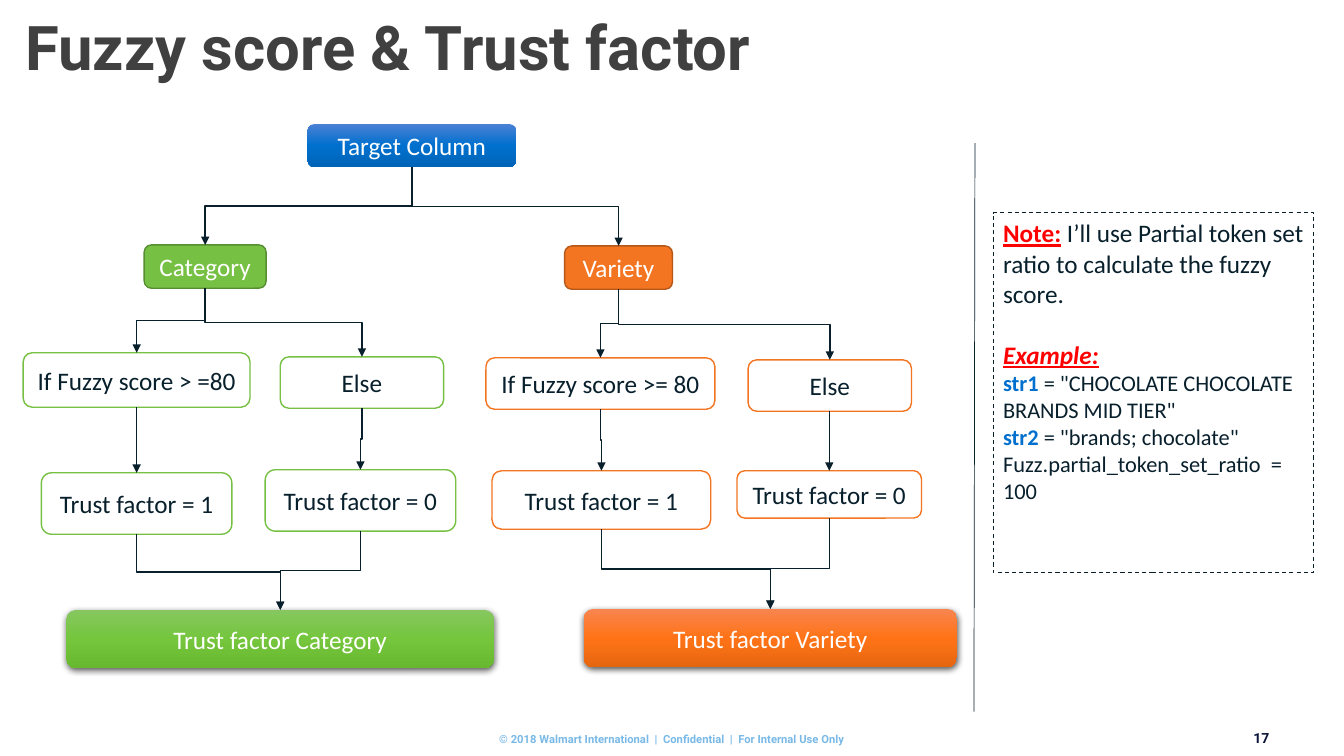
from copy import deepcopy

from lxml.etree import SubElement
from pptx import Presentation
from pptx.dml.color import RGBColor
from pptx.enum.dml import MSO_LINE
from pptx.enum.shapes import MSO_CONNECTOR as CONNECTOR, MSO_SHAPE as SHAPE
from pptx.enum.text import MSO_ANCHOR as ANCHOR, MSO_AUTO_SIZE as AUTO_SIZE, PP_ALIGN as ALIGN
from pptx.oxml.ns import qn
from pptx.util import Pt

PX = 9144
WHITE = RGBColor(0xFF, 0xFF, 0xFF)
INK = RGBColor(0x08, 0x1F, 0x2C)
NAVY = RGBColor(0x0B, 0x14, 0x38)
GREY = RGBColor(0x40, 0x40, 0x41)
SKY = RGBColor(0x78, 0xB9, 0xE7)
BLUE = RGBColor(0x00, 0x70, 0xCE)
RED = RGBColor(0xFF, 0x00, 0x00)
GREEN = RGBColor(0x76, 0xC0, 0x43)
DARK_GREEN = RGBColor(0x57, 0x8E, 0x32)
ORANGE = RGBColor(0xF4, 0x75, 0x21)
DARK_ORANGE = RGBColor(0xB5, 0x57, 0x18)
BLUE_FADE = [RGBColor(0x4B, 0x81, 0xD5), BLUE, RGBColor(0x00, 0x64, 0xB7)]
GREEN_FADE = [RGBColor(0x86, 0xC7, 0x60), RGBColor(0x75, 0xC6, 0x3D), RGBColor(0x67, 0xB7, 0x2F)]
ORANGE_FADE = [RGBColor(0xF8, 0x85, 0x50), RGBColor(0xFF, 0x73, 0x16), RGBColor(0xE5, 0x66, 0x11)]


def write(paragraph, text, size=18, color=INK, font="Calibri", bold=False,
          italic=False, underline=False, align=ALIGN.LEFT):
    paragraph.alignment = align
    run = paragraph.add_run()
    run.text = text
    run.font.name = font
    run.font.size = Pt(size)
    run.font.color.rgb = color
    run.font.bold = bold
    run.font.italic = italic
    run.font.underline = underline


def draw_line(kind, x1, y1, x2, y2, width):
    connector = slide.shapes.add_connector(kind, *[round(v * PX) for v in (x1, y1, x2, y2)])
    connector.line.color.rgb = INK
    connector.line.width = Pt(width)
    SubElement(connector._element.spPr, qn("a:effectLst"))
    return connector


presentation = Presentation()
presentation.slide_width = 1333 * PX
presentation.slide_height = 750 * PX
slide = presentation.slides.add_slide(presentation.slide_layouts[5])

title = slide.shapes.title
title.left, title.top, title.width, title.height = [v * PX for v in (15, 24, 1150, 53)]
title.text_frame.auto_size = AUTO_SIZE.NONE
title.text_frame.vertical_anchor = ANCHOR.MIDDLE
title.text_frame.paragraphs[0].line_spacing = 0.9
write(title.text_frame.paragraphs[0], "Fuzzy score & Trust factor",
      size=44, color=GREY, font="Roboto", bold=True)

footers = [
    ("17", 1229, 724, 30, 17, 10, NAVY, ALIGN.RIGHT),
    ("© 2018 Walmart International  |  Confidential  |  For Internal Use Only",
     455, 727, 423, 13, 8, SKY, ALIGN.CENTER),
]
for text, left, top, width, height, size, color, align in footers:
    frame = slide.shapes.add_textbox(left * PX, top * PX, width * PX, height * PX).text_frame
    frame.word_wrap = True
    frame.margin_left = frame.margin_right = frame.margin_top = frame.margin_bottom = 0
    write(frame.paragraphs[0], text, size=size, color=color, font="Roboto", bold=True, align=align)

nodes = {
    "target": ("Target Column", 305, 123, 207, 43, BLUE_FADE, None, WHITE),
    "category": ("Category", 143, 243, 121, 43, GREEN, DARK_GREEN, WHITE),
    "variety": ("Variety", 560, 244, 107, 43, ORANGE, DARK_ORANGE, WHITE),
    "category if": ("If Fuzzy score > =80", 23, 350, 225, 54, WHITE, GREEN, INK),
    "category else": ("Else", 278, 354, 162, 51, WHITE, GREEN, INK),
    "variety if": ("If Fuzzy score >= 80", 482, 355, 227, 51, WHITE, ORANGE, INK),
    "variety else": ("Else", 742, 357, 162, 51, WHITE, ORANGE, INK),
    "category 1": ("Trust factor = 1", 41, 469, 189, 61, WHITE, GREEN, INK),
    "category 0": ("Trust factor = 0", 263, 466, 189, 61, WHITE, GREEN, INK),
    "variety 1": ("Trust factor = 1", 488, 467, 217, 58, WHITE, ORANGE, INK),
    "variety 0": ("Trust factor = 0", 731, 467, 183, 47, WHITE, ORANGE, INK),
    "category trust": ("Trust factor Category", 66, 605, 424, 58, GREEN_FADE, None, WHITE),
    "variety trust": ("Trust factor Variety", 579, 604, 370, 58, ORANGE_FADE, None, WHITE),
}
for name, (text, left, top, width, height, fill, outline, color) in nodes.items():
    shape = slide.shapes.add_shape(SHAPE.ROUNDED_RECTANGLE, left * PX, top * PX,
                                   width * PX, height * PX)
    if outline is None:
        shape.fill.gradient()
        shape.fill.gradient_angle = 270
        stops = shape._element.spPr.find(".//" + qn("a:gsLst"))
        stops.insert(1, deepcopy(stops[0]))
        for stop, shade, position in zip(shape.fill.gradient_stops, fill, (0, 0.5, 1)):
            stop.color.rgb = shade
            stop.position = position
        shape.line.fill.background()
    else:
        shape.fill.solid()
        shape.fill.fore_color.rgb = fill
        shape.line.color.rgb = outline
        shape.line.width = Pt(1)
    shape.shadow.inherit = False
    if name.endswith("trust"):
        effects = shape._element.spPr.find(qn("a:effectLst"))
        shadow = SubElement(effects, qn("a:outerShdw"), blurRad="57150", dist="19050",
                            dir="5400000", algn="ctr", rotWithShape="0")
        black = SubElement(shadow, qn("a:srgbClr"), val="000000")
        SubElement(black, qn("a:alpha"), val="63000")
    frame = shape.text_frame
    frame.word_wrap = True
    frame.margin_left = frame.margin_right = 5 * PX
    frame.vertical_anchor = ANCHOR.MIDDLE
    write(frame.paragraphs[0], text, color=color, align=ALIGN.CENTER)

arrows = [("target", "category"), ("target", "variety")]
for branch in ("category", "variety"):
    for condition, score in (("if", "1"), ("else", "0")):
        arrows += [
            (branch, f"{branch} {condition}"),
            (f"{branch} {condition}", f"{branch} {score}"),
            (f"{branch} {score}", f"{branch} trust"),
        ]
for source, target in arrows:
    _, left, top, width, height = nodes[source][:5]
    start_x, start_y = left + width / 2, top + height
    _, left, end_y, width, _ = nodes[target][:5]
    end_x = left + width / 2
    drop, shift = end_y - start_y, abs(end_x - start_x)
    near = (start_x + end_x - drop) / 2
    far = near + drop
    upper = (start_y + end_y - shift) / 2
    rightward = end_x > start_x
    if rightward:
        near, far = far, near
    arrow = draw_line(CONNECTOR.ELBOW, near, upper, far, upper + shift, 1)
    properties = arrow._element.spPr
    properties.get_or_add_xfrm().set("rot", "16200000" if rightward else "5400000")
    SubElement(properties.get_or_add_ln(), qn("a:tailEnd"), type="triangle")
    if source == "variety 0":
        guides = properties.find(".//" + qn("a:avLst"))
        SubElement(guides, qn("a:gd"), name="adj1", fmla="val 55600")

draw_line(CONNECTOR.STRAIGHT, 967, 142, 966, 706, 0.5)

note = slide.shapes.add_shape(SHAPE.RECTANGLE, 985 * PX, 211 * PX, 318 * PX, 357 * PX)
note.shadow.inherit = False
note.fill.background()
note.line.color.rgb = INK
note.line.width = Pt(0.75)
note.line.dash_style = MSO_LINE.DASH
note.text_frame.word_wrap = True
note.text_frame.vertical_anchor = ANCHOR.TOP
heading = dict(color=RED, bold=True, underline=True)
variable = dict(size=16, color=BLUE, bold=True)
code = dict(size=16)
note_lines = [
    [("Note:", heading), (" I’ll use Partial token set ratio to calculate the fuzzy score.", {})],
    [("Example:", dict(heading, italic=True))],
    [("str1", variable), (' = "CHOCOLATE CHOCOLATE BRANDS MID TIER"', code)],
    [("str2", variable), (' = "brands; chocolate"', code)],
    [("Fuzz.partial_token_set_ratio  = 100", code)],
]
for index, runs in enumerate(note_lines):
    paragraph = note.text_frame.add_paragraph() if index else note.text_frame.paragraphs[0]
    if index == 1:
        paragraph.space_before = Pt(22)
    for text, style in runs:
        write(paragraph, text, **style)

presentation.save("out.pptx")
